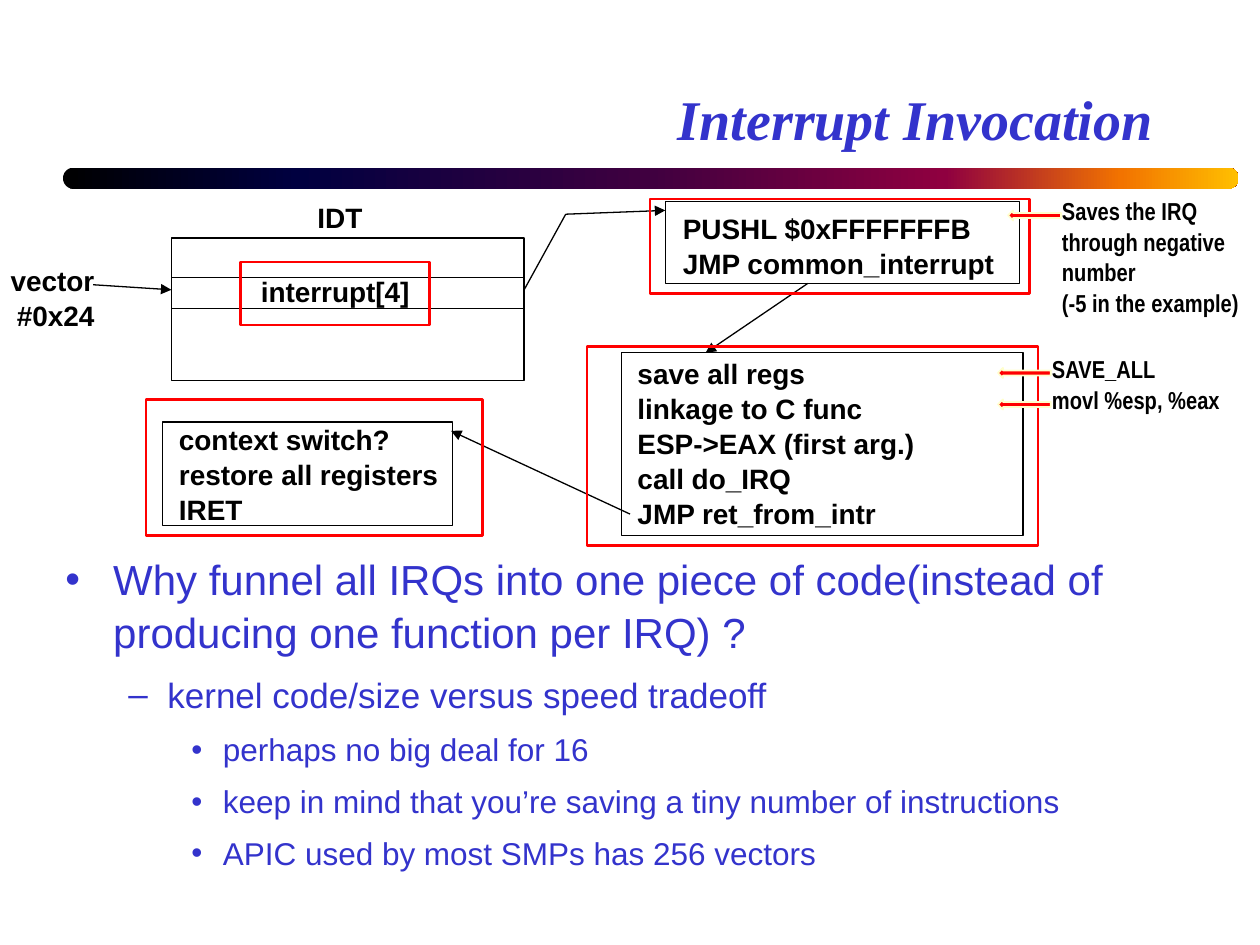
from typing import NamedTuple

from lxml import etree
from pptx import Presentation
from pptx.dml.color import RGBColor
from pptx.enum.shapes import MSO_CONNECTOR, MSO_SHAPE
from pptx.enum.text import MSO_ANCHOR, PP_ALIGN
from pptx.oxml.ns import qn
from pptx.util import Inches, Pt

RECTANGLE = MSO_SHAPE.RECTANGLE
ROUNDED = MSO_SHAPE.ROUNDED_RECTANGLE
LEFT_ARROW = MSO_SHAPE.LEFT_ARROW
STRAIGHT = MSO_CONNECTOR.STRAIGHT
LEFT, RIGHT = PP_ALIGN.LEFT, PP_ALIGN.RIGHT
TOP, BOTTOM = MSO_ANCHOR.TOP, MSO_ANCHOR.BOTTOM

BLACK = RGBColor(0x00, 0x00, 0x00)
BLUE = RGBColor(0x33, 0x33, 0xCC)
RED = RGBColor(0xFF, 0x00, 0x00)
CREAM = RGBColor(0xFF, 0xFF, 0xCC)
BAR_STOPS = [(0, "000000"), (20, "000040"), (50, "400040"),
             (75, "8F0040"), (90, "F27300"), (100, "FFBF00")]
LINE_SPACING = 1.04


class Box(NamedTuple):
    left: float
    top: float
    width: float
    height: float


class Style(NamedTuple):
    font: str
    size: int
    color: RGBColor = BLACK
    bold: bool = True
    italic: bool = False


class Label(NamedTuple):
    text: str
    box: Box
    align: PP_ALIGN = LEFT


class Line(NamedTuple):
    start: tuple[float, float]
    end: tuple[float, float]
    arrow: bool = False


class Level(NamedTuple):
    size: int
    margin: float
    hanging: float
    bullet: str


class Bullet(NamedTuple):
    level: int
    text: str


TITLE = Style("Times New Roman", 32, BLUE, italic=True)
CODE = Style("Arial", 16)
NOTE = Style("Arial Narrow", 14)
LEVELS = [Level(24, 0.38, 0.38, "•"), Level(20, 0.81, 0.31, "–"), Level(18, 1.25, 0.25, "•")]

CODE_BOXES = [Box(1.36, 1.89, 2.8, 1.13), Box(5.28, 1.6, 2.81, 0.65),
              Box(4.93, 2.8, 3.19, 1.45), Box(1.29, 3.35, 2.3, 0.82)]
HIGHLIGHTS = [Box(1.91, 2.08, 1.5, 0.5), Box(5.16, 1.58, 3.01, 0.75),
              Box(4.66, 2.75, 3.58, 1.58), Box(1.16, 3.17, 2.67, 1.08)]
CODE_LABELS = [
    Label("IDT", Box(2.52, 1.58, 0.36, 0.27)),
    Label("interrupt[4]", Box(2.07, 2.17, 1.2, 0.27)),
    Label("vector\n#0x24", Box(0.08, 2.08, 0.67, 0.54), RIGHT),
    Label("PUSHL $0xFFFFFFFB\nJMP common_interrupt", Box(5.42, 1.67, 2.5, 0.54)),
    Label("save all regs\nlinkage to C func\vESP->EAX (first arg.)\ncall do_IRQ\nJMP ret_from_intr",
          Box(5.06, 2.82, 2.23, 1.35)),
    Label("context switch?\nrestore all registers\nIRET", Box(1.42, 3.34, 2.09, 0.81)),
]
LINES = [
    Line((1.36, 2.2), (4.16, 2.2)),
    Line((1.36, 2.45), (4.16, 2.45)),
    Line((4.16, 2.3), (4.49, 1.7)),
    Line((4.49, 1.7), (5.28, 1.67), arrow=True),
    Line((0.74, 2.26), (1.36, 2.3), arrow=True),
    Line((6.41, 2.25), (5.6, 2.8), arrow=True),
    Line((5, 4.08), (3.58, 3.42), arrow=True),
]
NOTES = [
    Label("Saves the IRQ\vthrough negative\vnumber\v(-5 in the example)", Box(8.33, 1.5, 1.75, 1.04)),
    Label("SAVE_ALL", Box(8.25, 2.75, 1.75, 0.34)),
    Label("movl %esp, %eax", Box(8.25, 3, 1.75, 0.34)),
]
NOTE_ARROWS = [Box(8, 1.67, 0.42, 0.08), Box(7.92, 2.92, 0.42, 0.08), Box(7.92, 3.17, 0.42, 0.08)]
BULLETS = [
    Bullet(0, "Why funnel all IRQs into one piece of code(instead of producing one function per IRQ) ?"),
    Bullet(1, "kernel code/size versus speed tradeoff"),
    Bullet(2, "perhaps no big deal for 16"),
    Bullet(2, "keep in mind that you’re saving a tiny number of instructions"),
    Bullet(2, "APIC used by most SMPs has 256 vectors"),
]


def inches(box: Box) -> list[int]:
    return [Inches(value) for value in box]


def add_outline(slide, box: Box, color: RGBColor, weight: float, preset=RECTANGLE):
    shape = slide.shapes.add_shape(preset, *inches(box))
    shape.shadow.inherit = False
    shape.fill.background()
    shape.line.color.rgb = color
    shape.line.width = Pt(weight)
    return shape


def add_note_arrow(slide, box: Box) -> None:
    arrow = add_outline(slide, box, CREAM, 1, LEFT_ARROW)
    arrow.fill.solid()
    arrow.fill.fore_color.rgb = RED


def add_gradient_bar(slide, box: Box) -> None:
    bar = add_outline(slide, box, BLACK, 1, ROUNDED)
    bar.adjustments[0] = 0.5
    bar.line.fill.background()
    bar.fill.gradient()
    bar.fill.gradient_angle = 0
    stops = bar.element.spPr.find(qn("a:gradFill")).find(qn("a:gsLst"))
    for stop in list(stops):
        stops.remove(stop)
    for percent, color in BAR_STOPS:
        stop = etree.SubElement(stops, qn("a:gs"), pos=str(percent * 1000))
        etree.SubElement(stop, qn("a:srgbClr"), val=color)


def add_line(slide, line: Line) -> None:
    ends = [Inches(value) for value in (*line.start, *line.end)]
    connector = slide.shapes.add_connector(STRAIGHT, *ends)
    connector.line.color.rgb = BLACK
    connector.line.width = Pt(0.75)
    if line.arrow:
        etree.SubElement(connector.line._get_or_add_ln(), qn("a:tailEnd"), type="triangle")
    etree.SubElement(connector.element.spPr, qn("a:effectLst"))


def format_paragraph(paragraph, style: Style, align: PP_ALIGN = LEFT) -> None:
    paragraph.alignment = align
    paragraph.line_spacing = LINE_SPACING
    for run in paragraph.runs:
        font = run.font
        font.name, font.size = style.font, Pt(style.size)
        font.bold, font.italic = style.bold, style.italic
        font.color.rgb = style.color


def add_text(slide, label: Label, style: Style, wrap: bool = True, anchor: MSO_ANCHOR = TOP):
    """Add a text box; one that does not wrap has no inner margins."""
    text_frame = slide.shapes.add_textbox(*inches(label.box)).text_frame
    text_frame.word_wrap = wrap
    text_frame.vertical_anchor = anchor
    if not wrap:
        text_frame.margin_left = text_frame.margin_right = 0
        text_frame.margin_top = text_frame.margin_bottom = 0
    text_frame.text = label.text
    for paragraph in text_frame.paragraphs:
        format_paragraph(paragraph, style, label.align)
    return text_frame


def add_bullets(slide, box: Box, bullets: list[Bullet]) -> None:
    text = "\n".join(bullet.text for bullet in bullets)
    text_frame = add_text(slide, Label(text, box), CODE)
    for paragraph, bullet in zip(text_frame.paragraphs, bullets):
        level = LEVELS[bullet.level]
        format_paragraph(paragraph, Style("Arial", level.size, BLUE, bold=False))
        paragraph.level = bullet.level
        paragraph.space_before = paragraph.space_after = Pt(level.size * 0.2)
        properties = paragraph._p.get_or_add_pPr()
        properties.set("marL", str(Inches(level.margin)))
        properties.set("indent", str(-Inches(level.hanging)))
        color = etree.SubElement(properties, qn("a:buClr"))
        etree.SubElement(color, qn("a:srgbClr"), val=str(BLUE))
        etree.SubElement(properties, qn("a:buFont"), typeface="Arial")
        etree.SubElement(properties, qn("a:buChar"), char=level.bullet)


def main() -> None:
    presentation = Presentation()
    presentation.slide_width, presentation.slide_height = Inches(10), Inches(7.5)
    slide = presentation.slides.add_slide(presentation.slide_layouts[6])

    add_gradient_bar(slide, Box(0.5, 1.33, 9.33, 0.17))
    add_bullets(slide, Box(0.42, 4.33, 9.42, 2.83), BULLETS)
    add_text(slide, Label("Interrupt Invocation", Box(0.75, 0.25, 8.5, 1), RIGHT), TITLE, anchor=BOTTOM)
    for box in CODE_BOXES:
        add_outline(slide, box, BLACK, 0.75)
    for label in CODE_LABELS:
        add_text(slide, label, CODE, wrap=False)
    for line in LINES:
        add_line(slide, line)
    for box in HIGHLIGHTS:
        add_outline(slide, box, RED, 1.5)
    for note, arrow in zip(NOTES, NOTE_ARROWS):
        add_text(slide, note, NOTE)
        add_note_arrow(slide, arrow)
    presentation.save("out.pptx")


if __name__ == "__main__":
    main()
